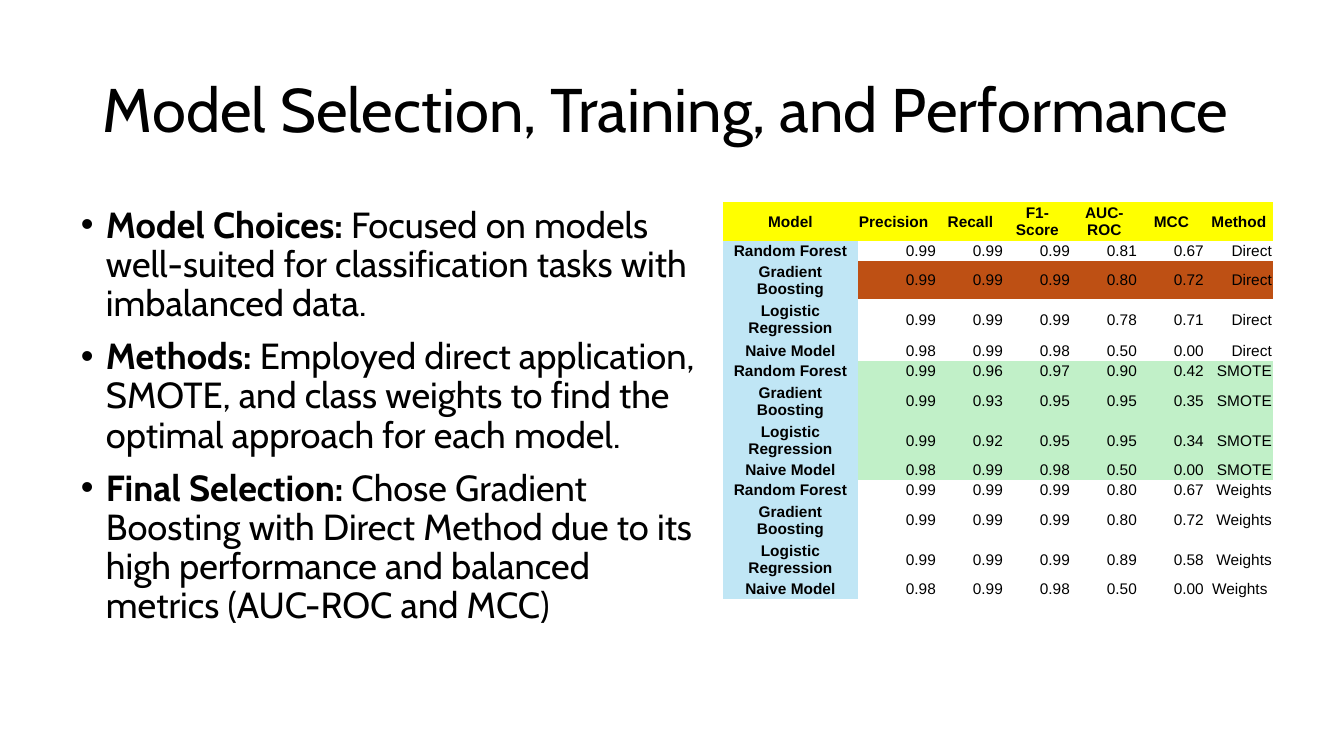
import pptx
import pptx.dml.color
import pptx.enum.text
import pptx.oxml
import pptx.oxml.ns
import pptx.util

PX = 914400 / 100.8
COLORS = {"text": "000000", "header": "FFFF00", "model": "C0E6F5",
          "selected": "BE5014", "smote": "C1F0C8"}
ALIGN = pptx.enum.text.PP_ALIGN
ANCHOR = pptx.enum.text.MSO_ANCHOR


def px(length):
    return pptx.util.Emu(round(length * PX))


def add_run(paragraph, text, size, font, bold=False):
    run = paragraph.add_run()
    run.text = text
    run.font.size = pptx.util.Pt(size)
    run.font.name = font
    run.font.bold = bold
    run.font.color.rgb = pptx.dml.color.RGBColor.from_string(COLORS["text"])


presentation = pptx.Presentation()
presentation.slide_width = px(1344)
presentation.slide_height = px(756)
slide = presentation.slides.add_slide(presentation.slide_layouts[6])

# Title
title = slide.shapes.add_textbox(px(93), px(40), px(1159), px(146)).text_frame
title.word_wrap = True
title.vertical_anchor = ANCHOR.MIDDLE
title.paragraphs[0].line_spacing = 0.9
add_run(title.paragraphs[0], "Model Selection, Training, and Performance", 44, "Cabin")

# Bullet points
points = [
    ("Model Choices: ", "Focused on models well-suited for classification tasks "
     "with imbalanced data."),
    ("Methods: ", "Employed direct application, SMOTE, and class weights to find "
     "the optimal approach for each model."),
    ("Final Selection: ", "Chose Gradient Boosting with Direct Method due to its "
     "high performance and balanced metrics (AUC-ROC and MCC)"),
]
body = slide.shapes.add_textbox(px(71), px(202), px(640), px(480)).text_frame
body.word_wrap = True
for index, (label, description) in enumerate(points):
    paragraph = body.add_paragraph() if index else body.paragraphs[0]
    paragraph.line_spacing = 0.9
    if index:
        paragraph.space_before = pptx.util.Pt(10)
    properties = paragraph._p.get_or_add_pPr()
    properties.set("marL", str(px(25)))
    properties.set("indent", str(px(-25)))
    for tag, attribute, value in [("buFont", "typeface", "Arial"), ("buChar", "char", "•")]:
        bullet = pptx.oxml.ns.qn("a:" + tag)
        properties.append(properties.makeelement(bullet, {attribute: value}))
    add_run(paragraph, label, 25.9, "Cabin", bold=True)
    add_run(paragraph, description, 25.9, "Cabin")

# Table contents: four models under each of three methods
headers = ["Model", "Precision", "Recall", "F1-Score", "AUC-ROC", "MCC", "Method"]
models = ["Random Forest", "Gradient Boosting", "Logistic Regression", "Naive Model"]
scores = {
    "Direct": ["0.99 0.99 0.99 0.81 0.67", "0.99 0.99 0.99 0.80 0.72",
               "0.99 0.99 0.99 0.78 0.71", "0.98 0.99 0.98 0.50 0.00"],
    "SMOTE": ["0.99 0.96 0.97 0.90 0.42", "0.99 0.93 0.95 0.95 0.35",
              "0.99 0.92 0.95 0.95 0.34", "0.98 0.99 0.98 0.50 0.00"],
    "Weights": ["0.99 0.99 0.99 0.80 0.67", "0.99 0.99 0.99 0.80 0.72",
                "0.99 0.99 0.99 0.89 0.58", "0.98 0.99 0.98 0.50 0.00"],
}
rows = [headers]
for method, lines in scores.items():
    for model, line in zip(models, lines):
        rows.append([model, *line.split(), method])
rows[-1][-1] += " "
selected_row = 2

# Performance table
column_widths = [135, 79, 67, 67, 67, 67, 68]
row_heights = [39, 20, 36, 41, 21, 20, 40, 39, 20, 20, 40, 39, 20]
table = slide.shapes.add_table(len(rows), len(headers), px(723), px(202),
                               px(sum(column_widths)), px(sum(row_heights))).table
table.first_row = False
table.horz_banding = False
style = table._tbl.tblPr.find(pptx.oxml.ns.qn("a:tableStyleId"))
style.text = "{2D5ABB26-0587-4C30-8999-92F81FD0307C}"  # no style, no grid
for column, width in zip(table.columns, column_widths):
    column.width = px(width)
for row, height in zip(table.rows, row_heights):
    row.height = px(height)

for row_index, values in enumerate(rows):
    for column_index, value in enumerate(values):
        cell = table.cell(row_index, column_index)
        cell.margin_left = cell.margin_right = cell.margin_top = px(1)
        cell.margin_bottom = 0
        cell.vertical_anchor = ANCHOR.MIDDLE
        is_label = row_index == 0 or column_index == 0
        paragraph = cell.text_frame.paragraphs[0]
        paragraph.alignment = ALIGN.CENTER if is_label else ALIGN.RIGHT
        if value == "Precision":
            paragraph.alignment = ALIGN.LEFT
        add_run(paragraph, value, 11, "Arial", bold=is_label)

        if row_index == 0:
            fill = "header"
        elif column_index == 0:
            fill = "model"
        elif row_index == selected_row:
            fill = "selected"
        elif values[-1] == "SMOTE":
            fill = "smote"
        else:
            cell.fill.background()
            continue
        cell.fill.solid()
        cell.fill.fore_color.rgb = pptx.dml.color.RGBColor.from_string(COLORS[fill])

presentation.save("out.pptx")
